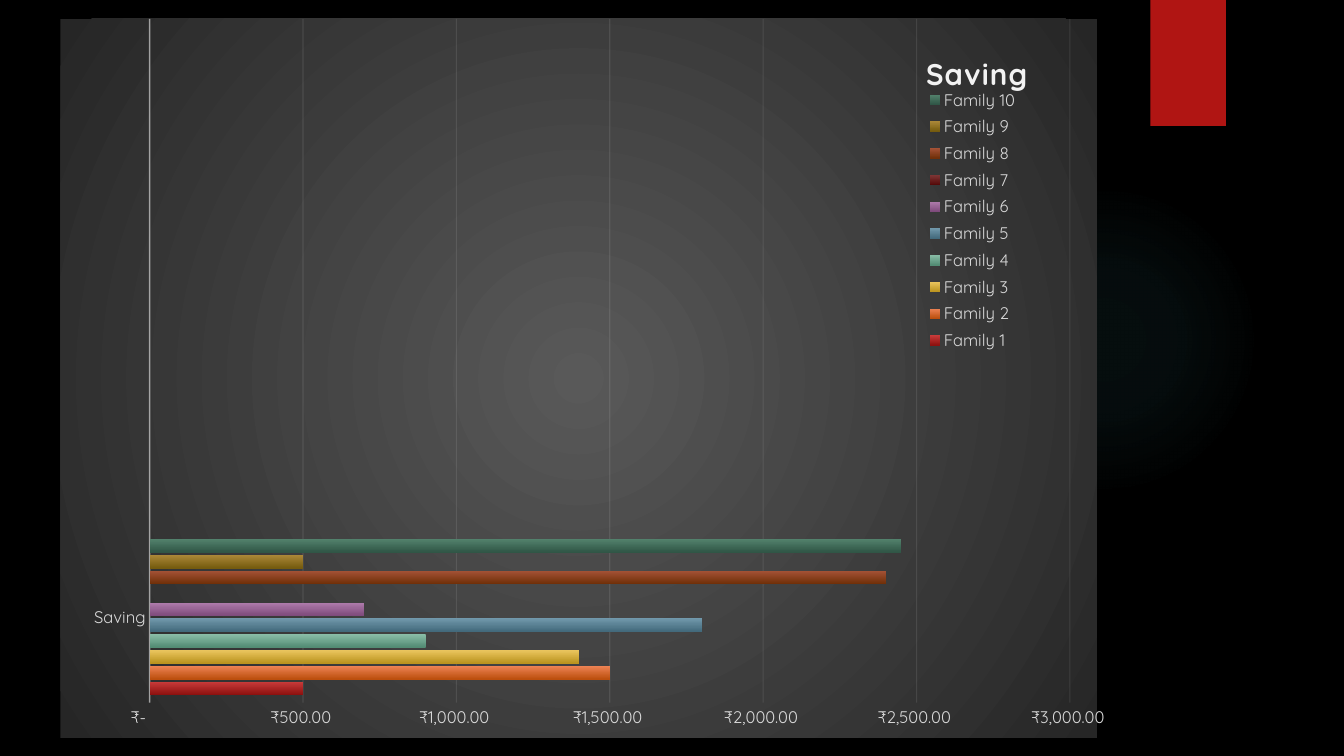
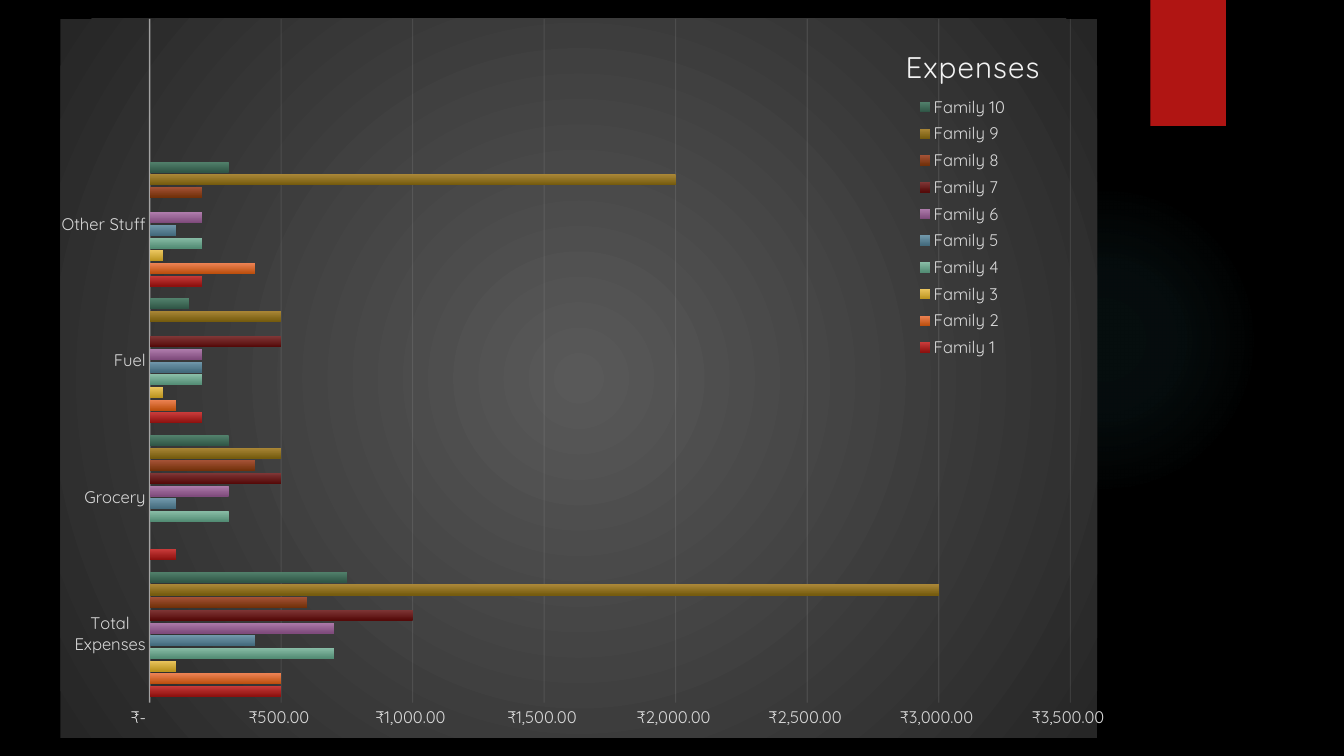
from lxml import etree
from pptx import Presentation
from pptx.chart.data import CategoryChartData
from pptx.dml.color import RGBColor
from pptx.enum.chart import XL_CHART_TYPE, XL_LEGEND_POSITION, XL_TICK_MARK
from pptx.enum.shapes import MSO_SHAPE
from pptx.oxml.ns import qn
from pptx.util import Inches, Pt

BAR_CLUSTERED = XL_CHART_TYPE.BAR_CLUSTERED
CORNER = XL_LEGEND_POSITION.CORNER
NO_TICK = XL_TICK_MARK.NONE
ELLIPSE, RECTANGLE = MSO_SHAPE.OVAL, MSO_SHAPE.RECTANGLE

BLACK = RGBColor(0x00, 0x00, 0x00)
WHITE = RGBColor(0xFF, 0xFF, 0xFF)
RED = RGBColor(0xB0, 0x15, 0x13)
GLOW = RGBColor(0x50, 0xB9, 0xC1)
LIGHT = RGBColor(0xF2, 0xF2, 0xF2)
LABEL = RGBColor(0xD9, 0xD9, 0xD9)
PANEL_INNER = RGBColor(0x59, 0x59, 0x59)
PANEL_OUTER = RGBColor(0x26, 0x26, 0x26)
FAMILY_COLORS = [
    (RGBColor(0xC9, 0x3B, 0x3A), RGBColor(0x8D, 0x11, 0x0F)),
    (RGBColor(0xEE, 0x84, 0x55), RGBColor(0xBC, 0x4F, 0x0E)),
    (RGBColor(0xEB, 0xC6, 0x5F), RGBColor(0xBB, 0x94, 0x1F)),
    (RGBColor(0x89, 0xBD, 0xA7), RGBColor(0x53, 0x8C, 0x74)),
    (RGBColor(0x71, 0x98, 0xAB), RGBColor(0x43, 0x6A, 0x7C)),
    (RGBColor(0xAF, 0x7C, 0xAC), RGBColor(0x7F, 0x4B, 0x7C)),
    (RGBColor(0x7F, 0x36, 0x36), RGBColor(0x55, 0x0A, 0x09)),
    (RGBColor(0xA4, 0x52, 0x36), RGBColor(0x71, 0x30, 0x09)),
    (RGBColor(0xAA, 0x87, 0x37), RGBColor(0x75, 0x5B, 0x0E)),
    (RGBColor(0x52, 0x81, 0x6C), RGBColor(0x30, 0x56, 0x46)),
]

FONT = "Quicksand"
RUPEES = '[$₹-4009]#,##0.00_ ;-[$₹-4009]#,##0.00_ ;[$₹-4009]"-"??_ '
CHART_BOX = (0.6, 0.18, 10.4, 7.14)
GLOW_BOX = (9.41, 1.83, 3.08, 3.08)
TAB_BOX = (11.41, 0, 0.75, 1.25)
PLOT_SHARE = (0.086, 0, 0.888, 0.951)

SAVINGS = {
    "Saving": [500, 1500, 1400, 900, 1800, 700, 0, 2400, 500, 2450],
}
EXPENSES = {
    "Total Expenses": [500, 500, 100, 700, 400, 700, 1000, 600, 3000, 750],
    "Grocery": [100, 0, 0, 300, 100, 300, 500, 400, 500, 300],
    "Fuel": [200, 100, 50, 200, 200, 200, 500, 0, 500, 150],
    "Other Stuff": [200, 400, 50, 200, 100, 200, 0, 200, 2000, 300],
}


def add_child(parent, tag, **attributes):
    """Append an XML element and return it."""
    child = etree.SubElement(parent, qn(tag))
    for name, value in attributes.items():
        child.set(name, str(value))
    return child


def add_gradient(properties, stops, circular=False):
    """Append a top-down or circular gradient of (share, colour, opacity) stops."""
    gradient = add_child(properties, "a:gradFill", rotWithShape=1)
    stop_list = add_child(gradient, "a:gsLst")
    for share, color, opacity in stops:
        stop = add_child(stop_list, "a:gs", pos=share * 1000)
        color_element = add_child(stop, "a:srgbClr", val=color)
        if opacity < 100:
            add_child(color_element, "a:alpha", val=opacity * 1000)
    if circular:
        path = add_child(gradient, "a:path", path="circle")
        add_child(path, "a:fillToRect", l=50000, t=50000, r=50000, b=50000)
    else:
        add_child(gradient, "a:lin", ang=5400000, scaled=0)


def style_line(line, width, owner, opacity):
    """Draw a light, partly transparent line belonging to an axis element."""
    line.width = Pt(width)
    line.color.rgb = LIGHT
    color_element = owner.find(".//" + qn("a:srgbClr"))
    add_child(color_element, "a:alpha", val=opacity * 1000)


def style_font(font, size, color):
    """Set the shared typeface with a size and a colour."""
    font.name = FONT
    font.size = Pt(size)
    font.color.rgb = color


def place_part(part, position, inner=False):
    """Place a chart part at shares of the chart's width and height."""
    for old_layout in part.findall(qn("c:layout")):
        part.remove(old_layout)
    layout = etree.Element(qn("c:layout"))
    manual = add_child(layout, "c:manualLayout")
    if inner:
        add_child(manual, "c:layoutTarget", val="inner")
    for name in ("xMode", "yMode"):
        add_child(manual, "c:" + name, val="edge")
    for name, share in zip("xywh", position):
        add_child(manual, "c:" + name, val=share)
    overlay = part.find(qn("c:overlay"))
    if overlay is None:
        part.insert(0, layout)
    else:
        overlay.set("val", "1")
        overlay.addprevious(layout)


def add_decoration(slide):
    """Add the soft glow and the red tab shared by all slides."""
    glow = slide.shapes.add_shape(ELLIPSE, *map(Inches, GLOW_BOX))
    add_gradient(glow._element.spPr,
                 [(0, GLOW, 7), (36, GLOW, 6), (69, GLOW, 0)], circular=True)
    tab = slide.shapes.add_shape(RECTANGLE, *map(Inches, TAB_BOX))
    tab.fill.solid()
    tab.fill.fore_color.rgb = RED
    for shape in (glow, tab):
        shape.line.fill.background()
        shape.shadow.inherit = False
    effects = tab._element.spPr.find(qn("a:effectLst"))
    shadow = add_child(effects, "a:outerShdw", blurRad=Pt(3), dist=Pt(2),
                       dir=5400000, rotWithShape=0)
    color_element = add_child(shadow, "a:srgbClr", val=BLACK)
    add_child(color_element, "a:alpha", val=45000)


def build_chart_data(amounts, empty_rows):
    """Turn amounts per category into one series per family."""
    chart_data = CategoryChartData()
    chart_data.categories = list(amounts) + [""] * empty_rows
    for number, values in enumerate(zip(*amounts.values()), start=1):
        chart_data.add_series(f"Family {number}", list(values) + [None] * empty_rows)
    return chart_data


def style_axes(chart, maximum):
    """Format both axes and the vertical gridlines."""
    category_axis, value_axis = chart.category_axis, chart.value_axis
    value_axis.minimum_scale, value_axis.maximum_scale = 0, maximum
    value_axis.major_unit = 500
    value_axis.has_major_gridlines = True
    style_line(value_axis.major_gridlines.format.line, 0.75, value_axis._element, 10)
    value_axis.format.line.fill.background()
    style_line(category_axis.format.line, 1, category_axis._element, 54)
    value_axis.tick_labels.number_format = RUPEES
    value_axis.tick_labels.number_format_is_linked = False
    for axis in (category_axis, value_axis):
        axis.major_tick_mark = axis.minor_tick_mark = NO_TICK
        style_font(axis.tick_labels.font, 12, LABEL)


def style_title(chart, text, bold, position):
    """Write the spaced chart title above the legend."""
    chart.has_title = True
    text_frame = chart.chart_title.text_frame
    text_frame.text = text
    run = text_frame.paragraphs[0].runs[0]
    style_font(run.font, 21.3, LIGHT)
    run.font.bold = bold
    run._r.get_or_add_rPr().set("spc", "100")
    place_part(chart.chart_title._element, position)


def style_legend(chart, position):
    """Place the legend in the upper right corner."""
    chart.has_legend = True
    chart.legend.position = CORNER
    chart.legend.include_in_layout = True
    style_font(chart.legend.font, 12, LABEL)
    place_part(chart.legend._element, position)


def add_family_chart(slide, box, title, bold, amounts, empty_rows, maximum,
                     title_position, legend_position):
    """Add the bar chart comparing the ten families."""
    frame = slide.shapes.add_chart(BAR_CLUSTERED, *map(Inches, box),
                                   build_chart_data(amounts, empty_rows))
    chart = frame.chart
    style_font(chart.font, 10, WHITE)
    panel = etree.Element(qn("c:spPr"))
    add_gradient(panel, [(0, PANEL_INNER, 100), (100, PANEL_OUTER, 100)], circular=True)
    add_child(add_child(panel, "a:ln"), "a:noFill")
    chart._chartSpace.find(qn("c:txPr")).addprevious(panel)

    plot = chart.plots[0]
    plot.gap_width, plot.overlap = 115, -20
    plot.vary_by_categories = False
    for series, (top, bottom) in zip(plot.series, FAMILY_COLORS):
        series.invert_if_negative = False
        add_gradient(series._element.get_or_add_spPr(),
                     [(0, top, 100), (100, bottom, 100)])
    style_axes(chart, maximum)
    style_title(chart, title, bold, title_position)
    style_legend(chart, legend_position)
    place_part(chart._chartSpace.chart.plotArea, PLOT_SHARE, inner=True)


def add_chart_slide(presentation, **chart_options):
    """Add a slide with the decoration and one family chart."""
    slide = presentation.slides.add_slide(presentation.slide_layouts[6])
    add_decoration(slide)
    add_family_chart(slide, CHART_BOX, **chart_options)


def main():
    """Build and save the presentation."""
    presentation = Presentation()
    presentation.slide_width, presentation.slide_height = Inches(13.33), Inches(7.5)
    background = presentation.slide_master.background.fill
    background.solid()
    background.fore_color.rgb = BLACK
    add_chart_slide(presentation, title="Saving", bold=True, amounts=SAVINGS,
                    empty_rows=3, maximum=3000, title_position=(0.83, 0.04),
                    legend_position=(0.83, 0.09, 0.1, 0.38))
    add_chart_slide(presentation, title="Expenses", bold=False, amounts=EXPENSES,
                    empty_rows=1, maximum=3500, title_position=(0.81, 0.03),
                    legend_position=(0.82, 0.1, 0.1, 0.38))
    presentation.save("out.pptx")


if __name__ == "__main__":
    main()
